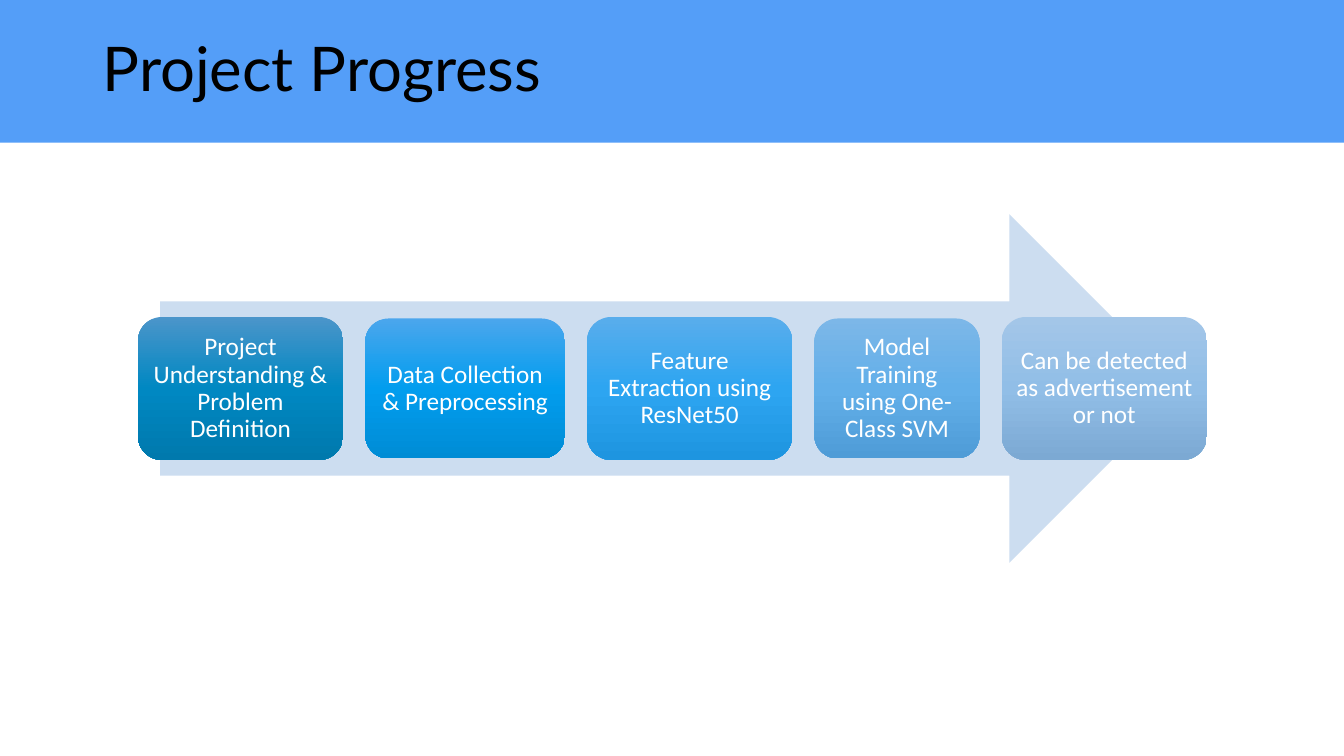
"""Build the project progress slide: a title band and a five-step arrow."""
from copy import deepcopy
from dataclasses import dataclass
from typing import Any

from pptx import Presentation
from pptx.dml.color import RGBColor
from pptx.enum.shapes import MSO_SHAPE
from pptx.enum.text import MSO_ANCHOR, MSO_AUTO_SIZE, PP_ALIGN
from pptx.oxml.ns import qn
from pptx.shapes.autoshape import Shape
from pptx.slide import Slide
from pptx.util import Pt

COLORS = {"band": "549EF8", "arrow": "CCDDF0", "title": "000000", "step": "FFFFFF"}
PAGE_WIDTH, PAGE_HEIGHT = 960, 540
CENTER_Y = 277.5
FIRST_LEFT, STEP_GAP = 98.6, 15.9


@dataclass(frozen=True)
class Step:
    """One stage of the project with its box size and gradient."""

    label: str
    width: float
    height: float
    gradient: tuple[str, str, str]


STEPS = [
    Step("Project Understanding & Problem Definition", 146.4, 102, ("4B95CA", "0088C2", "0079AD")),
    Step("Data Collection & Preprocessing", 142.6, 100, ("4BA6ED", "029DEE", "008CD5")),
    Step("Feature Extraction using ResNet50", 146.4, 102, ("59ADEC", "2DA5F1", "1E95E0")),
    Step("Model Training using One-Class SVM", 118, 100, ("7CB7E8", "62AFE9", "4F9CD7")),
    Step("Can be detected as advertisement or not", 146.4, 102, ("A3C6E8", "91BEE7", "7CA9D3")),
]


def apply_format(target: Any, values: dict[str, Any]) -> None:
    """Set every named attribute on the target."""
    for name, value in values.items():
        setattr(target, name, value)


def write_text(shape: Shape, text: str, color: str, inset: float,
               frame_format: dict[str, Any], para_format: dict[str, Any],
               font_format: dict[str, Any]) -> None:
    """Write one formatted paragraph into the shape."""
    frame = shape.text_frame
    margins = {f"margin_{side}": Pt(inset) for side in ("left", "top", "right", "bottom")}
    apply_format(frame, margins | {"word_wrap": True, "vertical_anchor": MSO_ANCHOR.MIDDLE} | frame_format)
    para = frame.paragraphs[0]
    apply_format(para, para_format)
    span = para.add_run()
    span.text = text
    apply_format(span.font, font_format)
    span.font.color.rgb = RGBColor.from_string(COLORS[color])


def add_plain_shape(page: Slide, kind: MSO_SHAPE, left: float, top: float,
                    width: float, height: float) -> Shape:
    """Add a shape without outline or shadow."""
    shape = page.shapes.add_shape(kind, Pt(left), Pt(top), Pt(width), Pt(height))
    shape.shadow.inherit = False
    shape.line.fill.background()
    return shape


def fill_solid(shape: Shape, color: str) -> None:
    """Fill the shape with one named colour."""
    shape.fill.solid()
    shape.fill.fore_color.rgb = RGBColor.from_string(COLORS[color])


def fill_gradient(shape: Shape, colors: tuple[str, ...]) -> None:
    """Fill the shape from top to bottom with evenly spaced colours."""
    shape.fill.gradient()
    shape.fill.gradient_angle = 270
    stop_list = shape.element.spPr.find(".//" + qn("a:gsLst"))
    while len(stop_list) < len(colors):
        stop_list.append(deepcopy(stop_list[0]))
    for index, (stop, color) in enumerate(zip(shape.fill.gradient_stops, colors)):
        stop.position = index / (len(colors) - 1)
        stop.color.rgb = RGBColor.from_string(color)


def add_header(page: Slide) -> None:
    """Draw the band and place the title on it."""
    band = add_plain_shape(page, MSO_SHAPE.RECTANGLE, 0, 0, PAGE_WIDTH, 102)
    fill_solid(band, "band")
    title = page.shapes.title
    title.element.addprevious(band.element)
    apply_format(title, {"left": Pt(73.4), "top": Pt(28), "width": Pt(440.6), "height": Pt(47.5)})
    write_text(title, "Project Progress", "title", 0,
               {"auto_size": MSO_AUTO_SIZE.SHAPE_TO_FIT_TEXT},
               {"alignment": PP_ALIGN.LEFT, "line_spacing": 0.85},
               {"name": "Lato", "size": Pt(44)})


def add_step(page: Slide, step: Step, left: float) -> None:
    """Draw one step box centred on the arrow."""
    box = add_plain_shape(page, MSO_SHAPE.ROUNDED_RECTANGLE, left,
                          CENTER_Y - step.height / 2, step.width, step.height)
    fill_gradient(box, step.gradient)
    write_text(box, step.label, "step", 5, {},
               {"alignment": PP_ALIGN.CENTER, "line_spacing": 0.9},
               {"name": "Calibri", "size": Pt(18)})


def main() -> None:
    """Build and save the deck."""
    deck = Presentation()
    apply_format(deck, {"slide_width": Pt(PAGE_WIDTH), "slide_height": Pt(PAGE_HEIGHT)})
    page = deck.slides.add_slide(deck.slide_layouts[5])
    add_header(page)
    arrow_height = 249
    arrow = add_plain_shape(page, MSO_SHAPE.RIGHT_ARROW, 114.5,
                            CENTER_Y - arrow_height / 2, 731, arrow_height)
    fill_solid(arrow, "arrow")
    left = FIRST_LEFT
    for step in STEPS:
        add_step(page, step, left)
        left += step.width + STEP_GAP
    deck.save("out.pptx")


if __name__ == "__main__":
    main()
